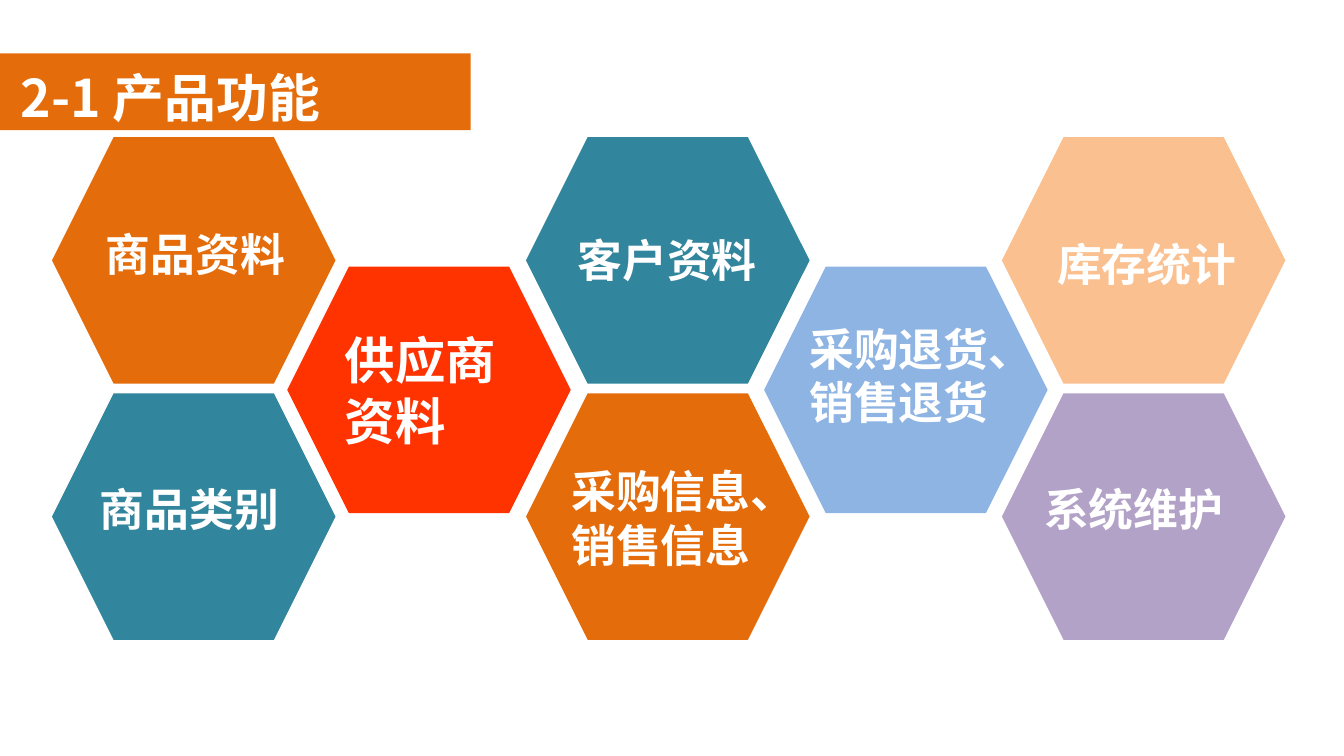
"""Build the product functions slide: a titled honeycomb of eight modules."""
from lxml.etree import SubElement
from pptx import Presentation
from pptx.dml.color import RGBColor
from pptx.enum.shapes import MSO_SHAPE
from pptx.enum.text import MSO_ANCHOR, MSO_AUTO_SIZE, PP_ALIGN
from pptx.oxml.ns import qn
from pptx.util import Pt

TITLE = "2-1 产品功能"
FONT = "Noto Sans CJK SC"
COLORS = {"orange": "E46C0A", "teal": "31859C", "red": "FF3300", "blue": "8EB4E3",
          "peach": "FAC090", "purple": "B3A2C7", "white": "FFFFFF"}

# column, row, fill, text, label box (left, top, width) or None for text inside
CELLS = [
    (0, 0, "orange", "商品资料", (68.4, 158.4, 145)),
    (0, 2, "teal", "商品类别", (64.1, 340.6, 180)),
    (1, 1, "red", "供应商资料", None),
    (2, 0, "teal", "客户资料", (402.5, 162.7, 148.3)),
    (2, 2, "orange", "采购信息、销售信息", (401, 327.6, 159)),
    (3, 1, "blue", "采购退货、销售退货", (571, 226, 153.4)),
    (4, 0, "peach", "库存统计", (748, 165.6, 155.5)),
    (4, 2, "purple", "系统维护", (738.7, 340.6, 157)),
]
COLS = (37.2, 205.2, 375.8, 545.8, 715.7)
ROWS = (98, 190.5, 281)
HEX_W, HEX_H = 202.5, 176
LINE_H, PAD_H = 39, 7


def rgb(name):
    return RGBColor.from_string(COLORS[name])


def paint(shape, color):
    shape.fill.solid()
    shape.fill.fore_color.rgb = rgb(color)


def write(shape, text, size, align=PP_ALIGN.LEFT, **frame):
    box = shape.text_frame
    settings = {"word_wrap": True, "auto_size": MSO_AUTO_SIZE.NONE, **frame}
    for key, value in settings.items():
        setattr(box, key, value)
    para = box.paragraphs[0]
    para.alignment = align
    run = para.add_run()
    run.text = text
    for key, value in {"name": FONT, "size": Pt(size), "bold": True}.items():
        setattr(run.font, key, value)
    run.font.color.rgb = rgb("white")
    SubElement(run.font._element, qn("a:ea"), typeface=FONT)


def add_title(slide):
    title = slide.shapes.title
    place = {"left": 0, "top": 38.2, "width": 336.2, "height": 54.7}
    for key, value in place.items():
        setattr(title, key, Pt(value))
    paint(title, "orange")
    write(title, TITLE, 37, vertical_anchor=MSO_ANCHOR.TOP,
          margin_left=Pt(15), margin_top=Pt(8.6), margin_bottom=Pt(0))


def add_cell(slide, col, row, color, text, label):
    cell = slide.shapes.add_shape(MSO_SHAPE.HEXAGON, Pt(COLS[col]), Pt(ROWS[row]),
                                  Pt(HEX_W), Pt(HEX_H))
    cell.shadow.inherit = False
    cell.line.fill.background()
    paint(cell, color)
    if label is None:
        write(cell, text, 36, vertical_anchor=MSO_ANCHOR.MIDDLE,
              margin_left=Pt(9.6), margin_right=Pt(9.6),
              margin_top=Pt(4.8), margin_bottom=Pt(4.8))
        return
    lines = 2 if len(text) > 4 else 1
    left, top, width = label
    box = slide.shapes.add_textbox(Pt(left), Pt(top), Pt(width),
                                   Pt(PAD_H + lines * LINE_H))
    align = PP_ALIGN.CENTER if text == "客户资料" else PP_ALIGN.LEFT
    write(box, text, 32, align)


def main():
    deck = Presentation()
    deck.slide_width, deck.slide_height = Pt(960), Pt(540)
    slide = deck.slides.add_slide(deck.slide_layouts[5])
    add_title(slide)
    for cell in CELLS:
        add_cell(slide, *cell)
    deck.save("out.pptx")


if __name__ == "__main__":
    main()
